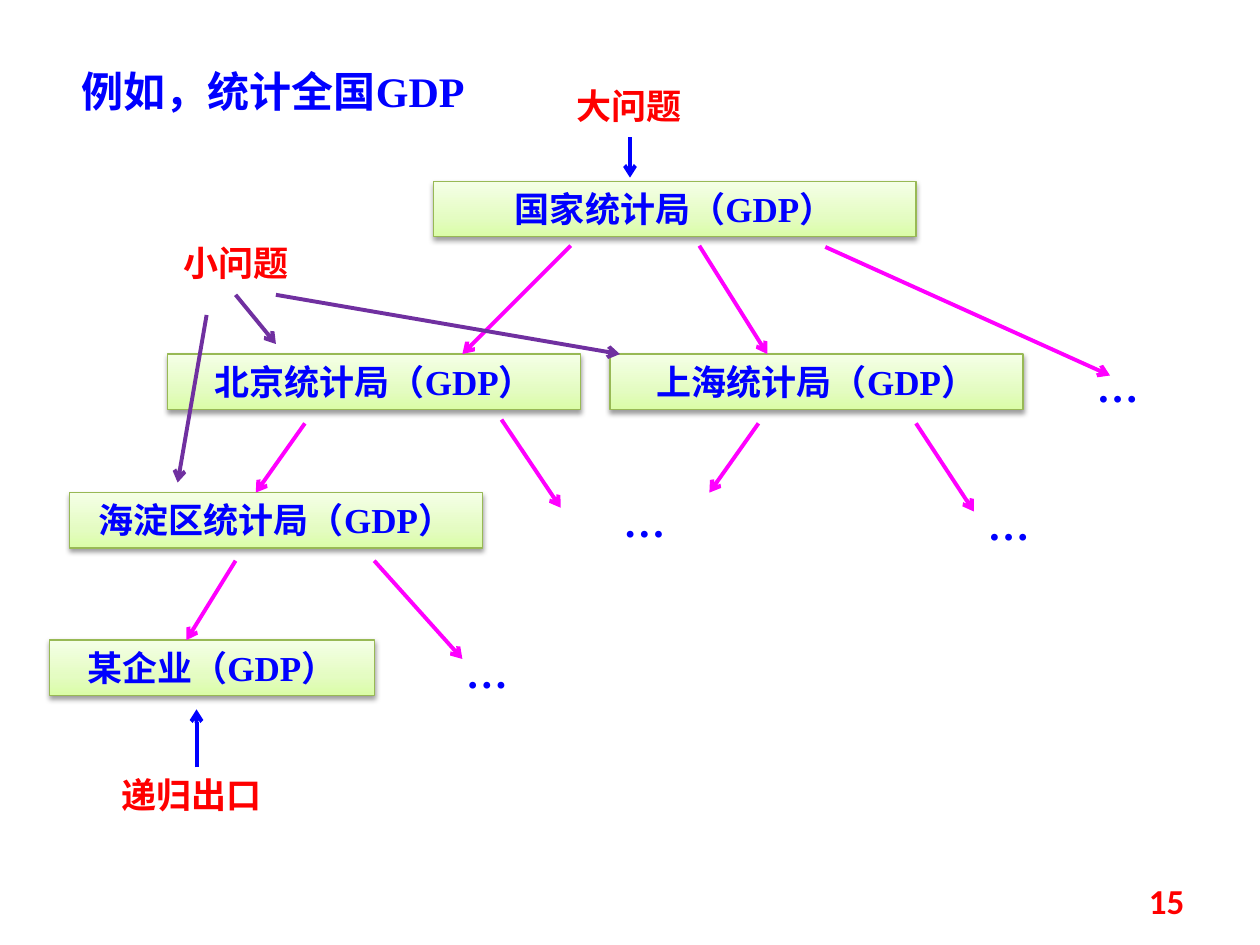
from copy import deepcopy
from dataclasses import dataclass

from lxml.etree import SubElement
from pptx import Presentation
from pptx.dml.color import RGBColor
from pptx.enum.shapes import MSO_CONNECTOR, MSO_SHAPE
from pptx.enum.text import MSO_ANCHOR, MSO_AUTO_SIZE, PP_ALIGN
from pptx.oxml import parse_xml
from pptx.oxml.ns import nsdecls, qn
from pptx.shapes.base import BaseShape
from pptx.slide import Slide
from pptx.util import Inches, Pt


@dataclass(frozen=True)
class Theme:
    blue: str = "0000FF"
    red: str = "FF0000"
    magenta: str = "FF00FF"
    purple: str = "7030A0"
    box_line: str = "98B955"
    box_stops: tuple = ((0, "DAFDA7"), (0.35, "E4FCC2"), (1, "F5FFE7"))
    font: str = "Times New Roman"
    number_font: str = "Calibri"
    large: int = 24
    normal: int = 20
    arrow_width: float = 2.25


THEME = Theme()
SHADOW = (
    f'<a:effectLst {nsdecls("a")}><a:outerShdw blurRad="39370" dist="20320" dir="5400000" '
    'rotWithShape="0"><a:srgbClr val="000000"><a:alpha val="38000"/></a:srgbClr>'
    '</a:outerShdw></a:effectLst>'
)


@dataclass(frozen=True)
class Label:
    text: str
    left: float
    top: float
    width: float
    height: float = 0.44
    color: str = THEME.red
    size: int = THEME.normal


@dataclass(frozen=True)
class Arrow:
    start: tuple[float, float]
    end: tuple[float, float]
    color: str = THEME.magenta


def bureau(name: str, left: float, top: float, width: float = 3.28) -> Label:
    return Label(f"{name}（GDP）", left, top, width, color=THEME.blue)


def ellipsis(left: float, top: float, width: float = 1.17) -> Label:
    return Label("…", left, top, width, 0.5, THEME.blue, THEME.large)


TITLE = Label("例如，统计全国GDP", 0.55, 0.47, 3.52, 0.5, THEME.blue, THEME.large)
PAGE_NUMBER = Label("15", 7.17, 6.95, 2.33, 0.4)

BUREAUS = [
    bureau("国家统计局", 3.44, 1.44, 3.83),
    bureau("北京统计局", 1.33, 2.81),
    bureau("上海统计局", 4.84, 2.81),
    bureau("海淀区统计局", 0.55, 3.91),
    bureau("某企业", 0.39, 5.08, 2.58),
]
LABELS = [
    ellipsis(8.44, 2.81, 0.86),
    ellipsis(4.53, 3.88),
    ellipsis(7.42, 3.91),
    ellipsis(3.28, 5.08),
    Label("大问题", 4.37, 0.62, 1.25),
    Label("小问题", 1.25, 1.87, 1.25),
    Label("递归出口", 0.7, 6.09, 1.64),
]
ARROWS = [
    # Nation to cities
    Arrow((4.53, 1.95), (3.67, 2.81)),
    Arrow((5.55, 1.95), (6.09, 2.81)),
    Arrow((6.55, 1.96), (8.81, 2.98)),
    # Cities to districts
    Arrow((2.42, 3.36), (2.03, 3.91)),
    Arrow((3.98, 3.33), (4.45, 4.03)),
    Arrow((6.02, 3.36), (5.63, 3.91)),
    Arrow((7.27, 3.36), (7.73, 4.06)),
    # District to companies
    Arrow((1.87, 4.45), (1.48, 5.08)),
    Arrow((2.97, 4.45), (3.67, 5.23)),
    # Big problem and recursion exit
    Arrow((5, 1.09), (5, 1.41), THEME.blue),
    Arrow((1.56, 6.09), (1.56, 5.63), THEME.blue),
    # Small problems
    Arrow((1.87, 2.34), (2.19, 2.73), THEME.purple),
    Arrow((2.19, 2.34), (4.92, 2.81), THEME.purple),
    Arrow((1.64, 2.5), (1.41, 3.83), THEME.purple),
]


def bounds(label: Label) -> tuple:
    return tuple(Inches(value) for value in (label.left, label.top, label.width, label.height))


def set_text(shape: BaseShape, label: Label, alignment: PP_ALIGN = PP_ALIGN.CENTER,
             font_name: str = THEME.font, anchor: MSO_ANCHOR = MSO_ANCHOR.TOP) -> None:
    frame = shape.text_frame
    frame.text = label.text
    frame.word_wrap = True
    frame.auto_size = MSO_AUTO_SIZE.NONE
    frame.vertical_anchor = anchor
    paragraph = frame.paragraphs[0]
    paragraph.alignment = alignment
    font = paragraph.runs[0].font
    font.name = font_name
    font.size = Pt(label.size)
    font.bold = True
    font.color.rgb = RGBColor.from_string(label.color)


def add_title(slide: Slide, label: Label) -> None:
    title = slide.shapes.title
    title.left, title.top, title.width, title.height = bounds(label)
    set_text(title, label, PP_ALIGN.LEFT)


def add_bureau(slide: Slide, label: Label) -> None:
    shape = slide.shapes.add_shape(MSO_SHAPE.RECTANGLE, *bounds(label))
    shape.fill.gradient()
    shape.fill.gradient_angle = 90
    # The default gradient has two stops; the box needs three
    stop_list = shape.fill.gradient_stops[0]._gs.getparent()
    stop_list.append(deepcopy(stop_list[0]))
    for stop, (position, color) in zip(shape.fill.gradient_stops, THEME.box_stops):
        stop.position = position
        stop.color.rgb = RGBColor.from_string(color)
    shape.line.color.rgb = RGBColor.from_string(THEME.box_line)
    shape.line.width = Pt(0.75)
    shape._element.spPr.append(parse_xml(SHADOW))
    set_text(shape, label)


def add_label(slide: Slide, label: Label) -> None:
    set_text(slide.shapes.add_textbox(*bounds(label)), label)


def add_arrow(slide: Slide, arrow: Arrow) -> None:
    points = [Inches(value) for value in (*arrow.start, *arrow.end)]
    connector = slide.shapes.add_connector(MSO_CONNECTOR.STRAIGHT, *points)
    connector.line.color.rgb = RGBColor.from_string(arrow.color)
    connector.line.width = Pt(THEME.arrow_width)
    SubElement(connector.line._get_or_add_ln(), qn("a:tailEnd"), type="arrow")
    SubElement(connector._element.spPr, qn("a:effectLst"))


def main() -> None:
    presentation = Presentation()
    presentation.slide_width = Inches(10)
    presentation.slide_height = Inches(7.5)
    slide = presentation.slides.add_slide(presentation.slide_layouts[5])

    add_title(slide, TITLE)
    for label in BUREAUS:
        add_bureau(slide, label)
    for label in LABELS:
        add_label(slide, label)
    for arrow in ARROWS:
        add_arrow(slide, arrow)

    # Page number
    number_box = slide.shapes.add_textbox(*bounds(PAGE_NUMBER))
    set_text(number_box, PAGE_NUMBER, PP_ALIGN.RIGHT, THEME.number_font, MSO_ANCHOR.MIDDLE)

    presentation.save("out.pptx")


if __name__ == "__main__":
    main()
